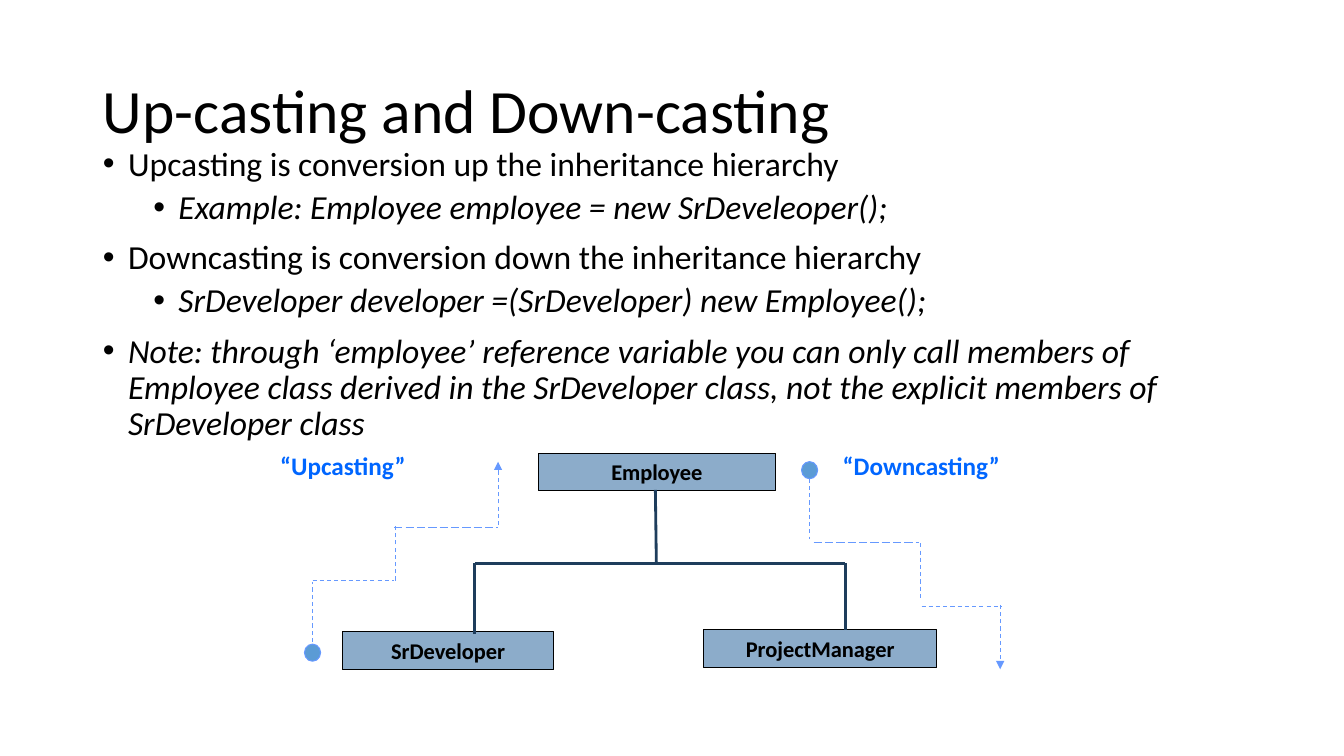
import pptx
import pptx.util
import pptx.dml.color
import pptx.enum.dml
import pptx.enum.shapes
import pptx.enum.text
import pptx.oxml
import pptx.oxml.ns

Inches, Pt = pptx.util.Inches, pptx.util.Pt
SHAPE = pptx.enum.shapes.MSO_SHAPE
ALIGN = pptx.enum.text.PP_ALIGN
ANCHOR = pptx.enum.text.MSO_ANCHOR
FIT = pptx.enum.text.MSO_AUTO_SIZE
DASH = pptx.enum.dml.MSO_LINE.DASH
LONG_DASH = pptx.enum.dml.MSO_LINE.LONG_DASH

BLUE, STEP_BLUE, LABEL_BLUE, NAVY = "5B9BD5", "6699FF", "0066FF", "1E3D5C"

BULLETS = [
    # text, level, italic
    ("Upcasting is conversion up the inheritance hierarchy", 0, False),
    ("Example: Employee employee = new SrDeveleoper();", 1, True),
    ("Downcasting is conversion down the inheritance hierarchy", 0, False),
    ("SrDeveloper developer =(SrDeveloper) new Employee();", 1, True),
    ("Note: through ‘employee’ reference variable you can only call members "
     "of Employee class derived in the SrDeveloper class, not the explicit "
     "members of SrDeveloper class", 0, True),
]
CLASSES = [
    ("Employee", 5.34, 4.5, 2.35),
    ("ProjectManager", 6.98, 6.25, 2.31),
    ("SrDeveloper", 3.4, 6.27, 2.09),
]
TREE = [
    (4.71, 5.59, 8.38, 5.59),
    (4.71, 6.29, 4.71, 5.59),
    (8.39, 6.25, 8.39, 5.59),
    (6.51, 5.59, 6.5, 4.86),
]
# Each staircase runs from its dot to its arrowhead.
UP_STEPS = [
    (3.1, 6.37, 3.1, 5.77, DASH),
    (3.1, 5.76, 3.91, 5.76, DASH),
    (3.92, 5.76, 3.92, 5.21, DASH),
    (3.91, 5.23, 4.94, 5.23, LONG_DASH),
    (4.94, 5.21, 4.94, 4.58, DASH),
]
DOWN_STEPS = [
    (8.03, 4.75, 8.03, 5.35, DASH),
    (8.07, 5.38, 9.11, 5.38, LONG_DASH),
    (9.13, 5.39, 9.13, 5.94, DASH),
    (9.14, 6.02, 9.94, 6.02, DASH),
    (9.92, 6, 9.92, 6.64, DASH),
]


def rgb(value):
    """Turn a hex string into a colour."""
    return pptx.dml.color.RGBColor.from_string(value)


def xml(markup):
    """Parse one DrawingML element, given without its namespace."""
    head, gap, rest = markup.partition(" ")
    return pptx.oxml.parse_xml(f'{head} {pptx.oxml.ns.nsdecls("a")} {rest}')


def place(sp, left, top, width, height):
    """Set a shape's position and size in inches."""
    sp.left, sp.top = Inches(left), Inches(top)
    sp.width, sp.height = Inches(width), Inches(height)


def write(p, text, size, color="000000", bold=False, italic=False,
          align=ALIGN.LEFT, spacing=None):
    """Put one formatted run into a paragraph."""
    p.alignment = align
    p.line_spacing = spacing
    r = p.add_run()
    r.text = text
    r.font.name, r.font.size = "Calibri", Pt(size)
    r.font.bold, r.font.italic = bold, italic
    r.font.color.rgb = rgb(color)


def add_title(s, text):
    """Fill the title placeholder."""
    sp = s.shapes.title
    place(sp, 0.92, 0.4, 11.5, 1.45)
    sp.text_frame.auto_size = FIT.NONE
    sp.text_frame.vertical_anchor = ANCHOR.MIDDLE
    write(sp.text_frame.paragraphs[0], text, 44, spacing=0.9)


def add_bullets(s, items):
    """Fill the body placeholder with a two-level list."""
    sp = s.placeholders[1]
    place(sp, 0.92, 1.41, 11.5, 5.51)
    tf = sp.text_frame
    tf.auto_size = FIT.NONE
    for i, (text, level, italic) in enumerate(items):
        p = tf.add_paragraph() if i else tf.paragraphs[0]
        p.level = level
        write(p, text, 24, italic=italic, spacing=0.9)
        p.space_before = Pt(5 if level else 10)
        pPr = p._p.get_or_add_pPr()
        pPr.set("marL", str(Inches(0.25 + 0.5 * level)))
        pPr.set("indent", str(-Inches(0.25)))
        pPr.append(xml('<a:buFont typeface="Arial"/>'))
        pPr.append(xml('<a:buChar char="•"/>'))


def add_class(s, name, left, top, width):
    """Draw a class box, half transparent over a grey shadow."""
    sp = s.shapes.add_shape(SHAPE.RECTANGLE, Inches(left), Inches(top),
                            Inches(width), Inches(0.37))
    sp.fill.solid()
    sp.fill.fore_color.rgb = rgb(BLUE)
    sp.line.color.rgb = rgb("000000")
    sp.line.width = Pt(0.75)
    fill = sp._element.spPr.find(pptx.oxml.ns.qn("a:solidFill"))
    fill[0].append(xml('<a:alpha val="50000"/>'))
    sp.shadow.inherit = False
    effects = sp._element.spPr.find(pptx.oxml.ns.qn("a:effectLst"))
    effects.append(xml('<a:outerShdw dist="0" dir="0"><a:srgbClr val="808080">'
                       '<a:alpha val="50000"/></a:srgbClr></a:outerShdw>'))
    tf = sp.text_frame
    tf.auto_size = FIT.SHAPE_TO_FIT_TEXT
    tf.vertical_anchor = ANCHOR.TOP
    write(tf.paragraphs[0], name, 16, bold=True, align=ALIGN.CENTER)


def add_line(shapes, x1, y1, x2, y2, color, width, dash=None, arrow=False):
    """Draw a straight line, dashed or with an arrowhead if asked."""
    cn = shapes.add_connector(pptx.enum.shapes.MSO_CONNECTOR.STRAIGHT,
                              Inches(x1), Inches(y1), Inches(x2), Inches(y2))
    cn.line.color.rgb = rgb(color)
    cn.line.width = Pt(width)
    if dash:
        cn.line.dash_style = dash
    if arrow:
        cn.line._get_or_add_ln().append(xml('<a:tailEnd type="triangle"/>'))
    cn._element.spPr.append(xml('<a:effectLst />'))


def add_staircase(s, left, top, steps):
    """Group a start dot with the dashed steps that lead to an arrow."""
    shapes = s.shapes.add_group_shape().shapes
    dot = shapes.add_shape(SHAPE.OVAL, Inches(left), Inches(top),
                           Inches(0.16), Inches(0.17))
    dot.shadow.inherit = False
    dot.fill.solid()
    dot.fill.fore_color.rgb = rgb(BLUE)
    dot.line.color.rgb = rgb(STEP_BLUE)
    dot.line.width = Pt(0.75)
    for step in steps:
        *ends, dash = step
        add_line(shapes, *ends, STEP_BLUE, 0.75, dash, arrow=step is steps[-1])


def add_label(s, text, left, width):
    """Add the name of a casting direction."""
    tf = s.shapes.add_textbox(Inches(left), Inches(4.42), Inches(width),
                              Inches(0.4)).text_frame
    tf.word_wrap = True
    tf.auto_size = FIT.SHAPE_TO_FIT_TEXT
    write(tf.paragraphs[0], text, 18, color=LABEL_BLUE, bold=True)


def main():
    """Build and save the slide."""
    prs = pptx.Presentation()
    prs.slide_width, prs.slide_height = Inches(13.33), Inches(7.5)
    s = prs.slides.add_slide(prs.slide_layouts[1])
    add_title(s, "Up-casting and Down-casting")
    add_bullets(s, BULLETS)
    for box in CLASSES:
        add_class(s, *box)
    for ends in TREE:
        add_line(s.shapes, *ends, NAVY, 2)
    add_staircase(s, 3.02, 6.39, UP_STEPS)
    add_staircase(s, 7.95, 4.58, DOWN_STEPS)
    add_label(s, "“Upcasting”", 2.68, 1.82)
    add_label(s, "“Downcasting”", 8.26, 2.08)
    prs.save("out.pptx")


main()
